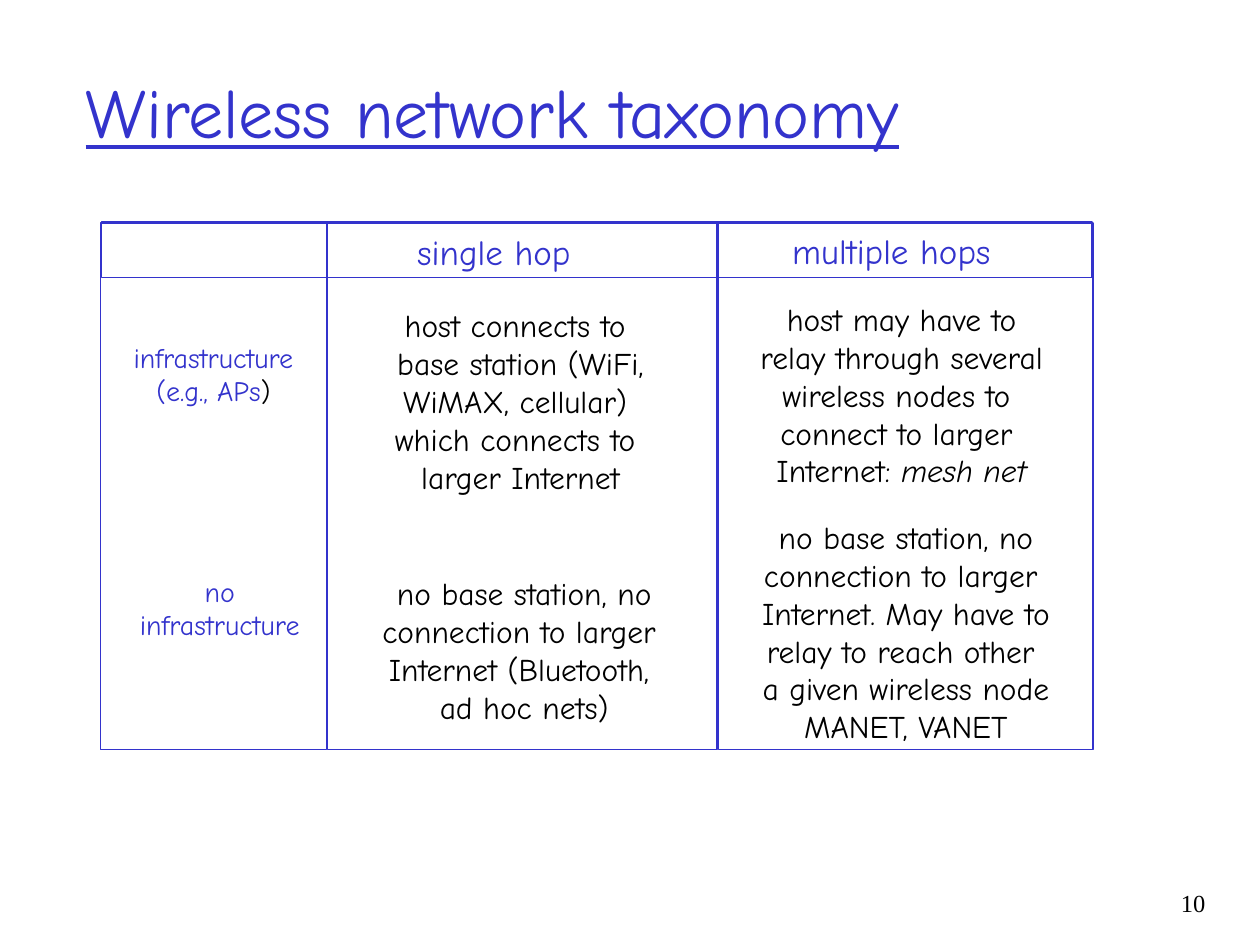
from pptx import Presentation
from pptx import util as u
from pptx.dml import color as c
from pptx.enum import shapes, text

BLUE, BLACK = "3333CC", "000000"
FONT = "Comic Neue"
LEFT, CENTER, RIGHT = text.PP_ALIGN.LEFT, text.PP_ALIGN.CENTER, text.PP_ALIGN.RIGHT
TOP, MIDDLE = text.MSO_ANCHOR.TOP, text.MSO_ANCHOR.MIDDLE

HEADER_HEIGHT = 31.7

COLUMNS = [
    (0, 128.9, [
        (11.5, 63.4, 105.8, 46.1, 16, BLUE,
         ["infrastructure", [("(e.g., APs", BLUE, False), (")", BLACK, False)]]),
        (15.1, 197.3, 105.8, 46.1, 16, BLUE, ["no", "infrastructure"]),
    ]),
    (129.6, 222.5, [
        (43.9, 0.8, 102.2, 31.7, 20, BLUE, ["single hop"]),
        (31, 44.2, 158.4, 115.2, 18, BLACK,
         ["host connects to ", "base station (WiFi,", "WiMAX, cellular) ",
          "which connects to ", "larger Internet"]),
        (23.5, 197.3, 177.8, 93.6, 18, BLACK,
         ["no base station, no", "connection to larger ",
          "Internet (Bluetooth, ", "ad hoc nets)"]),
    ]),
    (352.8, 214.2, [
        (32, 0, 134, 31.7, 20, BLUE, ["multiple hops"]),
        (16.3, 40.6, 177.1, 115.2, 18, BLACK,
         ["host may have to", "relay through several", "wireless nodes to ",
          "connect to larger ",
          [("Internet: ", BLACK, False), ("mesh net", BLACK, True)]]),
        (17.3, 165.2, 180, 136.8, 18, BLACK,
         ["no base station, no", "connection to larger ",
          "Internet. May have to", "relay to reach other ",
          "a given wireless node", "MANET, VANET"]),
    ]),
]


def rgb(value):
    return c.RGBColor.from_string(value)


def add_text(page, box, lines, size, color, font=FONT, align=CENTER,
             anchor=TOP, wrap=False, underline=None):
    frame = page.shapes.add_textbox(*map(u.Pt, box)).text_frame
    frame.word_wrap = wrap
    frame.auto_size = text.MSO_AUTO_SIZE.NONE if wrap else text.MSO_AUTO_SIZE.SHAPE_TO_FIT_TEXT
    frame.vertical_anchor = anchor
    for index, line in enumerate(lines):
        para = frame.paragraphs[0] if index == 0 else frame.add_paragraph()
        para.alignment = align
        para.font.name = font
        para.font.size = u.Pt(size)
        para.font.underline = underline
        spans = [(line, color, False)] if isinstance(line, str) else line
        for content, span_color, italic in spans:
            span = para.add_run()
            span.text = content
            span.font.color.rgb = rgb(span_color)
            if italic:
                span.font.italic = True


def add_outline(page, box):
    outline = page.shapes.add_shape(shapes.MSO_SHAPE.RECTANGLE, *map(u.Pt, box))
    outline.shadow.inherit = False
    outline.fill.background()
    outline.line.color.rgb = rgb(BLUE)
    outline.line.width = u.Pt(0.75)


def add_title(page, box):
    add_text(page, box, ["Wireless network taxonomy"], 40, BLUE, align=LEFT,
             anchor=MIDDLE, wrap=True, underline=True)


def add_taxonomy(page, box):
    left, top, width, height = box
    add_outline(page, (left + 0.5, top - 0.5, width - 1, HEADER_HEIGHT))
    for offset, column_width, entries in COLUMNS:
        column_left = left + offset
        add_outline(page, (column_left, top, column_width, height))
        for x, y, entry_width, entry_height, size, color, lines in entries:
            add_text(page, (column_left + x, top + y, entry_width, entry_height),
                     lines, size, color)


def add_page_number(page, box):
    add_text(page, box, ["10"], 14, BLACK, font="Times New Roman",
             align=RIGHT, wrap=True)


def main():
    deck = Presentation()
    deck.slide_width, deck.slide_height = u.Pt(720), u.Pt(540)
    page = deck.slides.add_slide(deck.slide_layouts[6])
    add_title(page, (41.8, 18, 612, 90))
    add_taxonomy(page, (57.6, 127.4, 567, 301))
    add_page_number(page, (642.7, 504, 53.3, 36))
    deck.save("out.pptx")


if __name__ == "__main__":
    main()
